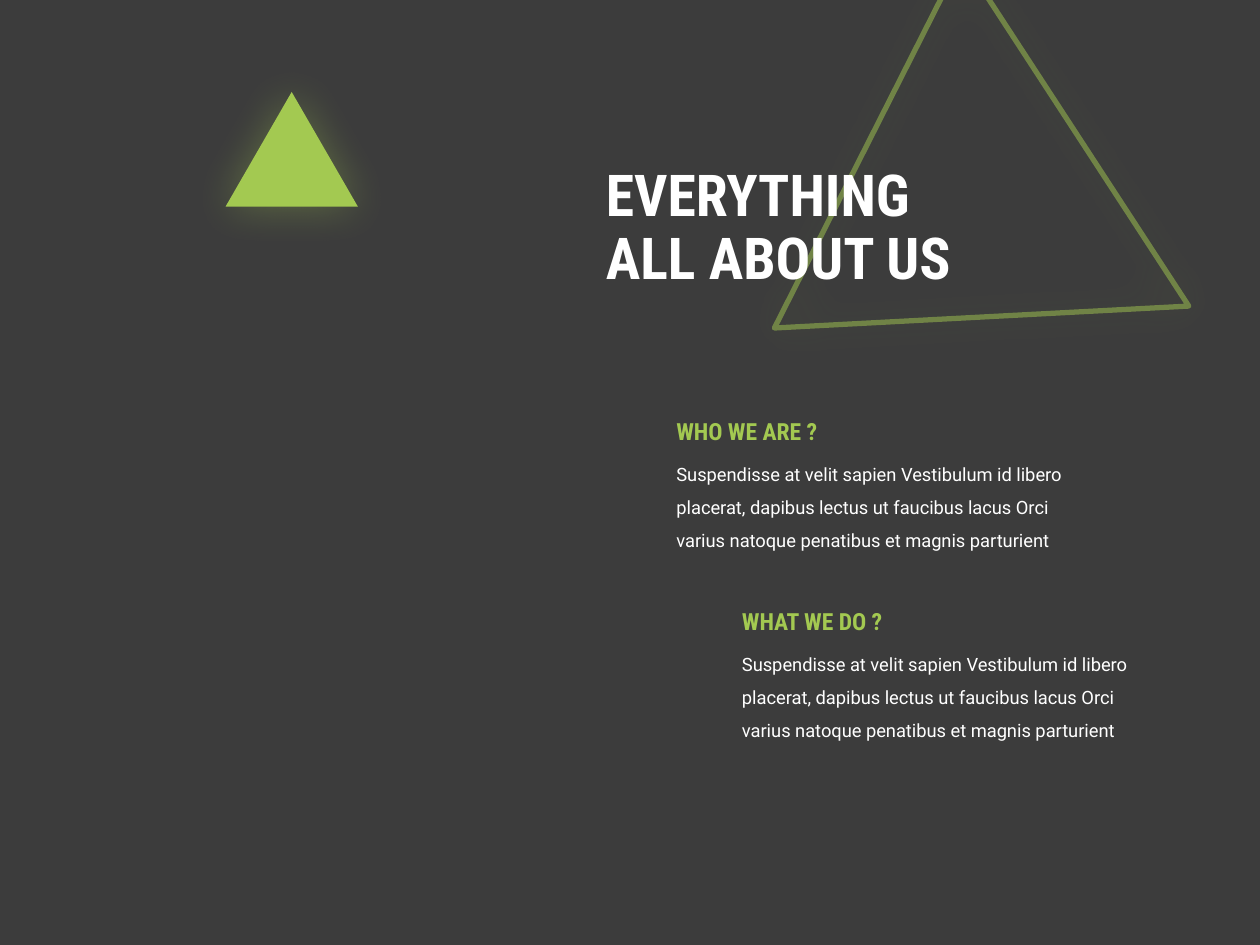
from lxml import etree
from pptx import Presentation
from pptx import util as u
from pptx.dml.color import RGBColor
from pptx.enum import shapes, text
from pptx.oxml.ns import qn

COLORS = {"background": "3C3C3C", "accent": "A3C951", "light": "FFFFFF"}
HEADING_FONT = "Roboto Condensed"
BODY_FONT = "Roboto"
BODY = ("Suspendisse at velit sapien Vestibulum id libero placerat, dapibus "
        "lectus ut faucibus lacus Orci varius natoque penatibus et magnis parturient")


def rgb(name):
    return RGBColor.from_string(COLORS[name])


def add_alpha(color_element, percent):
    etree.SubElement(color_element, qn("a:alpha"), val=str(percent * 1000))


def add_glow(shape, color, blur=25, opacity=35):
    """Surround the shape with a soft shadow that has no offset."""
    shape.shadow.inherit = False
    effects = shape._element.spPr.find(qn("a:effectLst"))
    shadow = etree.SubElement(effects, qn("a:outerShdw"), blurRad=str(u.Pt(blur)),
                              dist="0", dir="0", algn="ctr", rotWithShape="0")
    add_alpha(etree.SubElement(shadow, qn("a:srgbClr"), val=COLORS[color]), opacity)


def write(box, words, size, color="light", font=BODY_FONT, bold=False, spacing=1.0):
    """Fill the box with one paragraph; a vertical tab breaks the line."""
    para = box.text_frame.paragraphs[0]
    para.text = words
    para.line_spacing = spacing
    for span in para.runs:
        span.font.size = u.Pt(size)
        span.font.name = font
        span.font.bold = bold
        span.font.color.rgb = rgb(color)


class Page:
    """Holds the style and the current slide."""

    def __init__(self, deck):
        self.slide = deck.slides.add_slide(deck.slide_layouts[6])
        fill = self.slide.background.fill
        fill.solid()
        fill.fore_color.rgb = rgb("background")

    def triangle(self, left, top, width, height):
        shape = self.slide.shapes.add_shape(
            shapes.MSO_SHAPE.ISOSCELES_TRIANGLE,
            *map(u.Inches, (left, top, width, height)))
        add_glow(shape, "accent")
        return shape

    def solid_triangle(self, *place):
        shape = self.triangle(*place)
        shape.fill.solid()
        shape.fill.fore_color.rgb = rgb("accent")
        shape.line.fill.background()

    def outline_triangle(self, *place, rotation, width, opacity):
        shape = self.triangle(*place)
        shape.rotation = rotation
        shape.fill.background()
        shape.line.width = u.Pt(width)
        shape.line.color.rgb = rgb("accent")
        add_alpha(shape.line._ln.find(".//" + qn("a:srgbClr")), opacity)

    def text(self, left, top, width, height, words,
             anchor=text.MSO_ANCHOR.TOP, **style):
        box = self.slide.shapes.add_textbox(
            *map(u.Inches, (left, top, width, height)))
        box.text_frame.word_wrap = True
        box.text_frame.vertical_anchor = anchor
        write(box, words, **style)

    def section(self, left, top, heading, body):
        self.text(left, top + 0.28, 3.38, 0.87, body, size=10.5, spacing=1.5)
        self.text(left, top, 1.84, 0.33, heading, size=13.5, color="accent",
                  font=HEADING_FONT, bold=True)


def main():
    deck = Presentation()
    deck.slide_width, deck.slide_height = u.Inches(10), u.Inches(7.5)
    page = Page(deck)
    page.outline_triangle(5.69, 0.4, 3.3, 2.85, rotation=236.9, width=3, opacity=50)
    page.text(4.71, 1.03, 4.22, 1.58, "EVERYTHING\vALL ABOUT US",
              anchor=text.MSO_ANCHOR.MIDDLE, size=33, font=HEADING_FONT,
              bold=True, spacing=0.9)
    page.solid_triangle(1.79, 0.73, 1.05, 0.91)
    page.section(5.27, 3.26, "WHO WE ARE ?", BODY)
    page.section(5.79, 4.77, "WHAT WE DO ?", BODY)
    deck.save("out.pptx")


if __name__ == "__main__":
    main()
